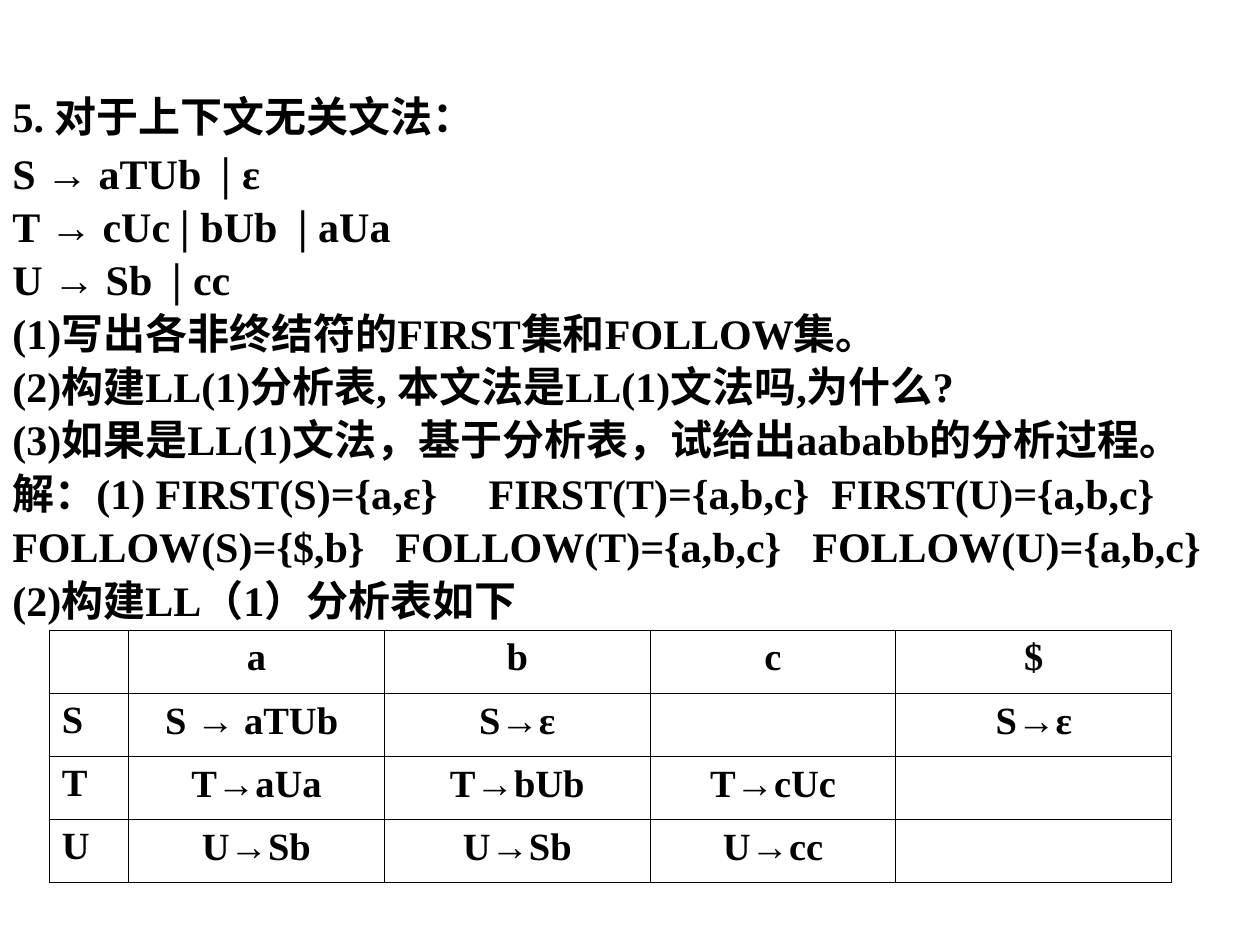
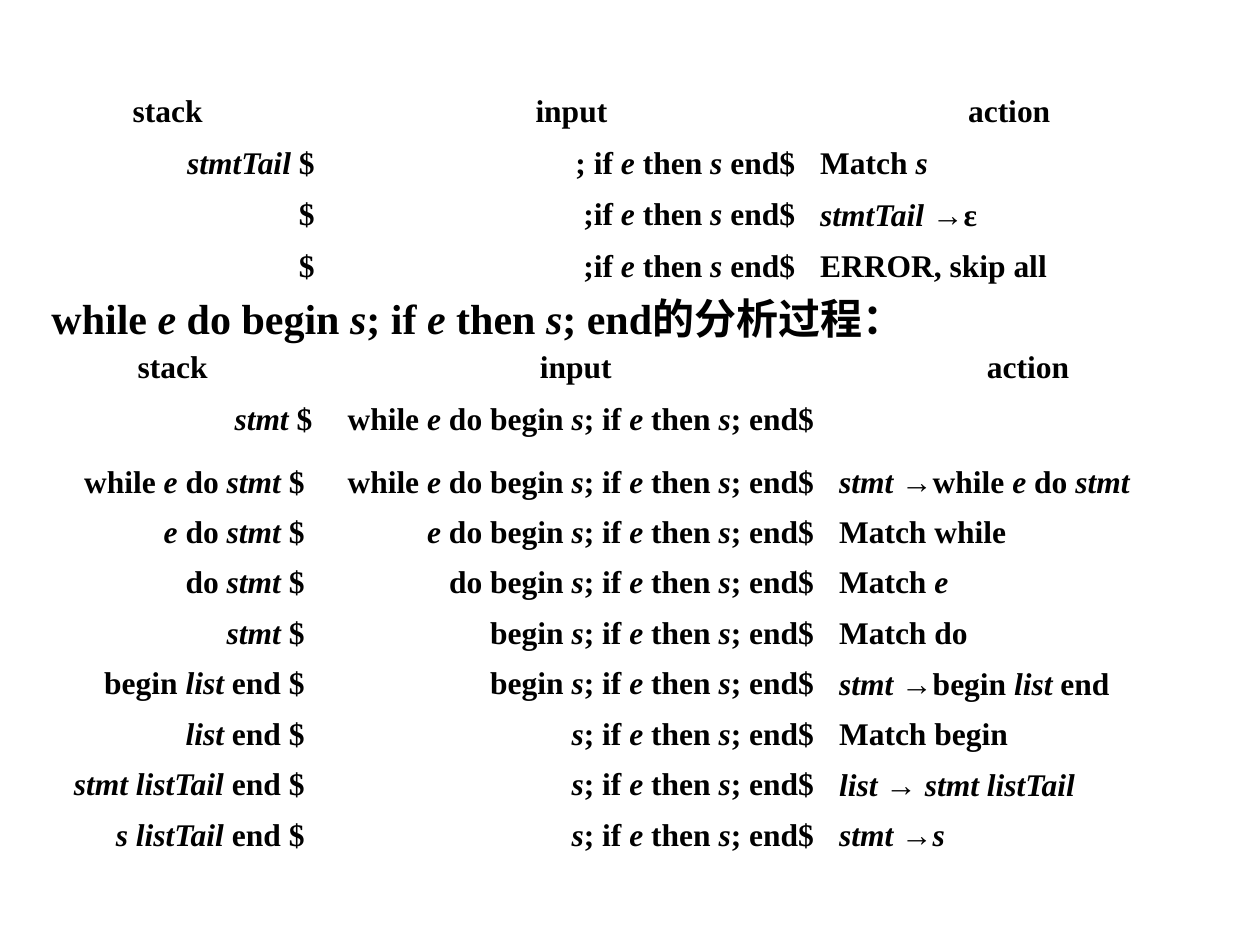
from dataclasses import dataclass
from itertools import groupby

from lxml.etree import SubElement
from pptx import Presentation
from pptx.dml.color import RGBColor
from pptx.enum.lang import MSO_LANGUAGE_ID as Language
from pptx.enum.text import MSO_ANCHOR as Anchor, MSO_AUTO_SIZE as AutoSize, PP_ALIGN as Align
from pptx.oxml.ns import qn
from pptx.util import Inches, Pt


@dataclass(frozen=True)
class Theme:
    ink: str = "000000"
    paper: str = "FFFFFF"
    text_font: str = "Times New Roman"
    arrow_font: str = "Arial"
    chinese_font: str = "Arial"
    body_size: float = 24
    grammar_size: float = 22
    trace_size: float = 18
    line_gap: float = 6
    line: float = 0.45
    header_line: float = 1.47


THEME = Theme()
TITLE_ONLY, BLANK = 5, 6

# Text between asterisks is italic
PROBLEM = [
    "S → aTUb ∣ε",
    "T → cUc∣bUb ∣aUa",
    "U → Sb ∣cc",
    "(1)写出各非终结符的FIRST集和FOLLOW集。",
    "(2)构建LL(1)分析表, 本文法是LL(1)文法吗,为什么?",
    "(3)如果是LL(1)文法，基于分析表，试给出aababb的分析过程。",
    "解：(1) FIRST(S)={a,ε}\tFIRST(T)={a,b,c}\tFIRST(U)={a,b,c}",
    "FOLLOW(S)={$,b}\tFOLLOW(T)={a,b,c}\tFOLLOW(U)={a,b,c}",
    "(2)构建LL（1）分析表如下",
]
SET_TABS = {6: (3.78, 6.5), 7: (3.04, 6.35)}

PARSE_TABLE = [
    ["", "a", "b", "c", "$"],
    ["S", "S → aTUb ", "S→ε", "", "S→ε"],
    ["T", "T→aUa", "T→bUb", "T→cUc", ""],
    ["U", "U→Sb", "U→Sb", "U→cc", ""],
]

TRACE_HEADER = ["stack", "input", "action"]
IF_INPUT = "if *e* then *s* end$"
RECOVERY_TRACE = [
    TRACE_HEADER,
    ["*stmtTail *$ ", "; " + IF_INPUT, "Match *s*"],
    ["$ ", ";" + IF_INPUT, "*stmtTail *→ε"],
    ["$ ", ";" + IF_INPUT, "ERROR, skip all"],
]

SENTENCE_TAIL = "*s*; if *e* then *s*; end"
LIST_INPUT = SENTENCE_TAIL + "$"
BEGIN_INPUT = "begin " + LIST_INPUT
DO_INPUT = "do " + BEGIN_INPUT
E_INPUT = "*e* " + DO_INPUT
WHILE_INPUT = "while " + E_INPUT
WHILE_TRACE = [
    TRACE_HEADER,
    ["*stmt *$", WHILE_INPUT, ""],
    ["while *e* do *stmt *$ ", WHILE_INPUT, "*stmt *→while *e* do *stmt*"],
    ["*e* do *stmt *$ ", E_INPUT, "Match while"],
    ["do *stmt *$ ", DO_INPUT, "Match *e*"],
    ["*stmt *$ ", BEGIN_INPUT, "Match do"],
    ["begin *list* end $ ", BEGIN_INPUT, "*stmt *→begin *list* end"],
    ["*list* end $ ", LIST_INPUT, "Match begin"],
    ["*stmt listTail* end $ ", LIST_INPUT, "*list *→ *stmt listTail*"],
    ["*s listTail* end $ ", LIST_INPUT, "*stmt *→*s*"],
]


def add_span(para, text, size, font_name, italic):
    span = para.add_run()
    span.text = text
    font = span.font
    font.size, font.bold, font.italic = Pt(size), True, italic
    font.color.rgb = RGBColor.from_string(THEME.ink)
    font.name = font_name
    font.language_id = Language.SIMPLIFIED_CHINESE
    SubElement(span._r.get_or_add_rPr(), qn("a:ea"), typeface=THEME.chinese_font)


def write(para, markup, size, align=Align.LEFT):
    """Write marked-up text, with arrows in their own font."""
    para.alignment = align
    for index, part in enumerate(markup.split("*")):
        for is_arrow, letters in groupby(part, key=lambda letter: letter == "→"):
            font_name = THEME.arrow_font if is_arrow else THEME.text_font
            add_span(para, "".join(letters), size, font_name, index % 2 == 1)


def set_tabs(para, positions):
    tabs = SubElement(para._p.get_or_add_pPr(), qn("a:tabLst"))
    for position in positions:
        SubElement(tabs, qn("a:tab"), pos=str(Inches(position)), algn="l")


def add_title(page, text, left, top, width, height):
    title = page.shapes.title
    title.left, title.top = Inches(left), Inches(top)
    title.width, title.height = Inches(width), Inches(height)
    frame = title.text_frame
    frame.auto_size, frame.vertical_anchor = AutoSize.NONE, Anchor.MIDDLE
    para = frame.paragraphs[0]
    para.line_spacing, para.space_before = 1.3, Pt(0)
    write(para, text, THEME.body_size)


def add_text(page, lines, left, top, width, height, spacing=1.0, tabs=None):
    box = page.shapes.add_textbox(Inches(left), Inches(top), Inches(width), Inches(height))
    frame = box.text_frame
    frame.word_wrap, frame.auto_size = True, AutoSize.SHAPE_TO_FIT_TEXT
    for index, line in enumerate(lines):
        para = frame.add_paragraph() if index else frame.paragraphs[0]
        para.line_spacing = spacing
        para.space_before = Pt(THEME.line_gap if index else 0)
        if tabs and index in tabs:
            set_tabs(para, tabs[index])
        write(para, line, THEME.body_size)


def set_borders(cell, color, top, bottom):
    properties = cell._tc.get_or_add_tcPr()
    widths = {"L": THEME.line, "R": THEME.line, "T": top, "B": bottom}
    for side, width in widths.items():
        line = SubElement(properties, qn(f"a:ln{side}"), w=str(Pt(width)))
        fill = SubElement(line, qn("a:solidFill"))
        SubElement(fill, qn("a:srgbClr"), val=color)


def add_grid(page, rows, left, top, widths, heights, size, aligns, color, header_line):
    """Add an unfilled table; header cells are centred, others follow their column."""
    frame = page.shapes.add_table(len(rows), len(widths), Inches(left), Inches(top),
                                  Inches(sum(widths)), Inches(sum(heights)))
    table = frame.table
    table.first_row = table.horz_banding = False
    for column, width in zip(table.columns, widths):
        column.width = Inches(width)
    for row_index, (row, height) in enumerate(zip(rows, heights)):
        table.rows[row_index].height = Inches(height)
        for column_index, text in enumerate(row):
            cell = table.cell(row_index, column_index)
            set_borders(cell, color,
                        top=header_line if row_index == 1 else THEME.line,
                        bottom=header_line if row_index == 0 else THEME.line)
            cell.fill.background()
            align = aligns[column_index] if row_index else Align.CENTER
            write(cell.text_frame.paragraphs[0], text, size, align)


def add_trace(page, rows, left, top, widths, heights):
    add_grid(page, rows, left, top, widths, heights, THEME.trace_size,
             [Align.RIGHT, Align.RIGHT, Align.LEFT], THEME.paper, THEME.header_line)


def build_grammar_page(deck):
    page = deck.slides.add_slide(deck.slide_layouts[TITLE_ONLY])
    add_title(page, "5. 对于上下文无关文法：", 0, 0.51, 9.83, 0.7)
    add_text(page, PROBLEM, 0, 1.18, 10, 3.83, spacing=0.85, tabs=SET_TABS)
    add_grid(page, PARSE_TABLE, 0.39, 5, [0.63, 2.03, 2.11, 1.95, 2.19], [0.5] * 4,
             THEME.grammar_size, [Align.LEFT] + [Align.CENTER] * 4, THEME.ink, THEME.line)


def build_trace_page(deck):
    page = deck.slides.add_slide(deck.slide_layouts[BLANK])
    # End of the previous trace
    add_trace(page, RECOVERY_TRACE, 0, 0.7, [2.66, 3.75, 3.2], [0.41] * 4)
    # Trace of the while sentence
    caption = "while *e* do begin " + SENTENCE_TAIL + "的分析过程："
    add_text(page, [caption], 0.31, 2.27, 8.59, 0.5)
    add_trace(page, WHILE_TRACE, 0.16, 2.73, [2.42, 3.98, 3.2], [0.41, 0.5] + [0.4] * 8)


def main():
    deck = Presentation()
    deck.slide_width, deck.slide_height = Inches(10), Inches(7.5)
    build_grammar_page(deck)
    build_trace_page(deck)
    deck.save("out.pptx")


if __name__ == "__main__":
    main()
